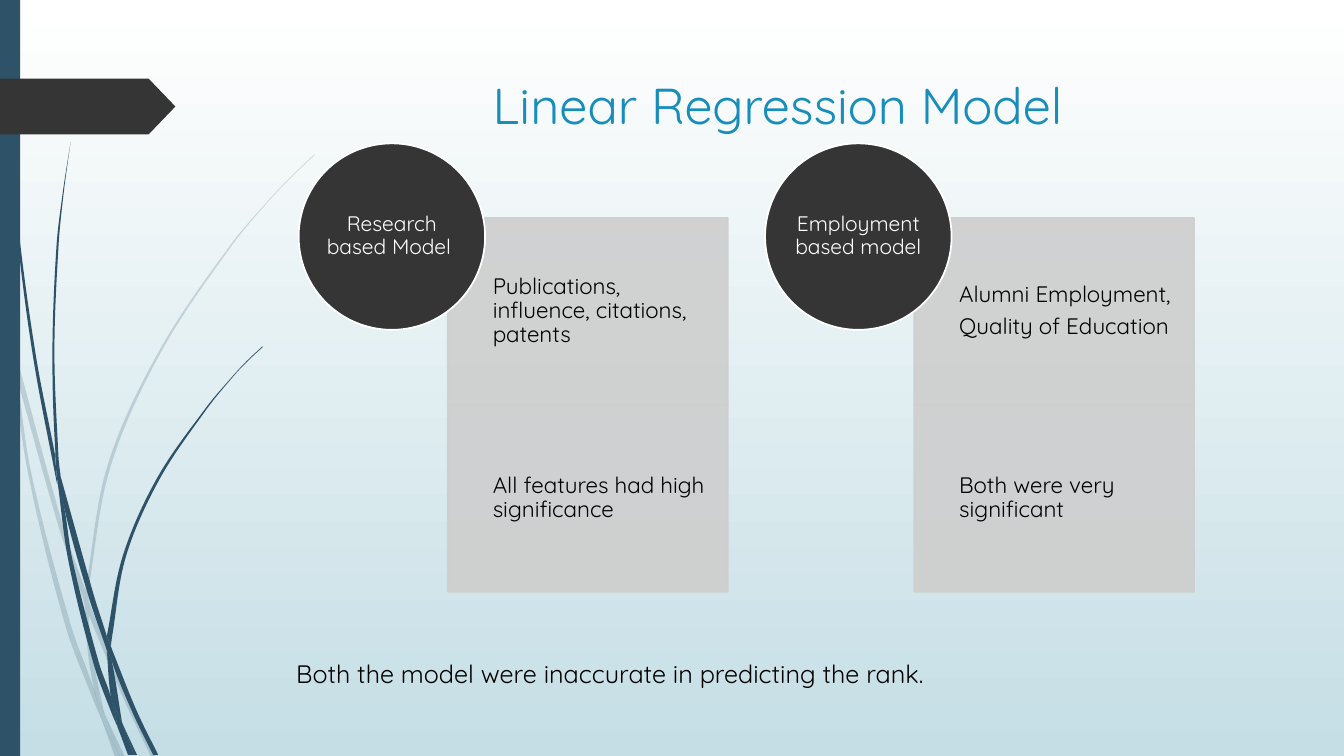
from math import hypot

from lxml.etree import SubElement
from pptx import Presentation
from pptx.dml.color import RGBColor
from pptx.enum.shapes import MSO_SHAPE
from pptx.enum.text import MSO_ANCHOR, MSO_AUTO_SIZE, PP_ALIGN
from pptx.oxml.ns import qn
from pptx.util import Pt

FONT = "Quicksand"
NAVY, CHARCOAL, GREY = "2E5369", "353535", "CECECE"
GRID = Pt(0.06)
DIVISIONS = 12
PALE_BLADES = [
    ([(11, 350), (9, 322), (0, 282)], [(0, 299), (10, 344), (11, 350)]),
    ([(17, 376), (58, 522), (84, 599)], [(85, 586), (62, 520), (14, 345)]),
    ([(88, 610), (123, 694), (150, 751)], [(155, 751), (127, 692), (92, 607), (88, 596)]),
    ([(119, 751)], [(124, 751), (105, 711)]),
    ([(11, 350), (28, 470), (65, 621), (92, 693), (101, 714)],
     [(99, 707), (93, 683), (70, 619), (31, 469), (17, 376), (11, 350)]),
    ([(84, 599), (87, 646), (93, 683), (96, 692), (105, 711)],
     [(103, 706), (91, 646), (88, 610), (88, 608), (84, 599)]),
    ([(312, 153), (289, 175), (268, 197), (228, 244), (158, 348), (107, 461), (85, 584), (85, 586)],
     [(88, 596), (88, 584), (110, 462), (160, 349), (229, 245), (268, 198), (290, 175), (312, 154)]),
    ([(101, 714), (114, 751)], [(119, 751), (101, 714)]),
    ([(84, 599), (88, 608), (88, 610)], [(88, 596), (85, 586)]),
    ([(93, 683), (99, 707), (101, 714), (119, 751)],
     [(119, 751), (105, 711), (96, 692), (93, 683)]),
]
DARK_BLADES = [
    ([(3, 0), (4, 48), (7, 110), (17, 233), (33, 355), (56, 477), (57, 481)],
     [(55, 457), (55, 453), (36, 355), (19, 232), (8, 109), (5, 48), (4, 0)]),
    ([(60, 472), (64, 505), (88, 592), (106, 645)], [(106, 633), (106, 631), (93, 590), (60, 472)]),
    ([(110, 641), (111, 656), (132, 708), (152, 749)],
     [(157, 749), (136, 706), (113, 649), (110, 641)]),
    ([(57, 477), (68, 557), (93, 659), (111, 708), (117, 722)],
     [(116, 717), (110, 691), (98, 657), (72, 556), (64, 505), (57, 477)]),
    ([(70, 141), (62, 193), (56, 245), (52, 349), (55, 449), (60, 472)],
     [(60, 472), (58, 453), (54, 349), (58, 245), (63, 193), (70, 141)]),
    ([(122, 719), (133, 749)], [(136, 749), (122, 719)]),
    ([(55, 449), (55, 453), (57, 477), (64, 505)], [(64, 505), (60, 472), (55, 449)]),
    ([(260, 344), (245, 358), (231, 373), (204, 405), (156, 474), (122, 551), (106, 631)],
     [(110, 641), (111, 633), (125, 552), (158, 476), (205, 406), (231, 374), (245, 359), (261, 344)]),
    ([(117, 722), (127, 749)], [(131, 749), (117, 722)]),
    ([(106, 645), (110, 691), (116, 706), (122, 719)], [(121, 716), (111, 656), (106, 645)]),
    ([(106, 645), (109, 651), (111, 656)], [(110, 641), (106, 631)]),
    ([(110, 691), (116, 717), (117, 722), (130, 749)],
     [(133, 749), (122, 719), (116, 706), (110, 691)]),
]
MODELS = [
    ("Research based Model ", [["Publications, influence, citations, patents "],
                               ["All features had high significance"]]),
    ("Employment based model", [["Alumni Employment,", "Quality of Education"],
                                ["Both were very significant"]]),
]


def color(value):
    return RGBColor.from_string(value)


def paint(fill, value, opacity=100):
    fill.solid()
    fill.fore_color.rgb = color(value)
    if opacity < 100:
        for rgb in fill._xPr.iter(qn("a:srgbClr")):
            SubElement(rgb, qn("a:alpha"), val=str(opacity * 1000))


def style(shape, fill, outline=None, opacity=100):
    shape.shadow.inherit = False
    paint(shape.fill, fill, opacity)
    if outline:
        shape.line.width = Pt(1.25)
        paint(shape.line.fill, outline, opacity)
    else:
        shape.line.fill.background()


def add_block(slide, kind, left, top, width, height, fill, outline=None, opacity=100):
    shape = slide.shapes.add_shape(kind, Pt(left), Pt(top), Pt(width), Pt(height))
    style(shape, fill, outline, opacity)
    return shape


def write(shape, lines, size, value, align=PP_ALIGN.LEFT, spacing=None, after=0):
    frame = shape.text_frame
    frame.word_wrap = True
    for index, line in enumerate(lines):
        paragraph = frame.add_paragraph() if index else frame.paragraphs[0]
        paragraph.alignment = align
        paragraph.line_spacing = spacing
        paragraph.space_after = Pt(after)
        run = paragraph.add_run()
        run.text = line
        run.font.name = FONT
        run.font.size = Pt(size)
        run.font.color.rgb = color(value)
    return frame


def set_margins(frame, left, other):
    frame.margin_left = Pt(left)
    frame.margin_top = frame.margin_right = frame.margin_bottom = Pt(other)
    frame.vertical_anchor = MSO_ANCHOR.MIDDLE


def handle(knot, before, after, reach):
    run, rise = after[0] - before[0], after[1] - before[1]
    ratio = reach / hypot(run, rise)
    return knot[0] + run * ratio, knot[1] + rise * ratio


def bend(edge):
    padded = [edge[0], *edge, edge[-1]]
    handles = []
    for a, b, c, d in zip(padded, padded[1:], padded[2:], padded[3:]):
        reach = hypot(c[0] - b[0], c[1] - b[1]) / 3
        handles.append((handle(b, a, c, reach), handle(c, b, d, -reach)))
    return handles


def add_blade(slide, edges, opacity=100):
    first, second = ([(x * DIVISIONS, y * DIVISIONS) for x, y in edge] for edge in edges)
    knots = first + second
    left, top = min(x for x, y in knots), min(y for x, y in knots)
    builder = slide.shapes.build_freeform(*knots[0], scale=GRID)
    builder.add_line_segments(knots[1:], close=True)
    shape = builder.convert_to_shape()
    segments = list(shape._element.iter(qn("a:lnTo")))
    for segment, handles in zip(segments, bend(first) + [()] + bend(second)):
        if handles:
            segment.tag = qn("a:cubicBezTo")
            for x, y in handles:
                SubElement(segment, qn("a:pt"), x=str(round(x - left)), y=str(round(y - top)))
            segment.append(segment[0])
    style(shape, NAVY, opacity=opacity)


def add_model(slide, left, name, panels):
    for row, lines in enumerate(panels):
        panel = add_block(slide, MSO_SHAPE.RECTANGLE, left + 106.5, 155.75 + row * 133.5,
                          200, 133.5, GREY, GREY, 90)
        set_margins(write(panel, lines, 16, "000000", spacing=0.9, after=5.6), 32.2, 8.6)
    circle = add_block(slide, MSO_SHAPE.OVAL, left, 102.4, 133.2, 133.2, CHARCOAL, "FFFFFF")
    set_margins(write(circle, [name], 15, "FFFFFF", PP_ALIGN.CENTER, 0.9), 0, 0)


def set_background(slide):
    fill = slide.background.fill
    fill.gradient()
    fill.gradient_angle = 270
    for stop, position, value in zip(fill.gradient_stops, (0, 1), ("FFFFFF", "C5DEE5")):
        stop.position = position
        stop.color.rgb = color(value)


def set_title(slide, text):
    title = slide.shapes.title
    title.left, title.top, title.width, title.height = Pt(204.5), Pt(49), Pt(702), Pt(100.8)
    frame = write(title, [text], 36, "178DBB", PP_ALIGN.CENTER)
    frame.vertical_anchor = MSO_ANCHOR.TOP
    frame.auto_size = MSO_AUTO_SIZE.NONE


def main():
    presentation = Presentation()
    presentation.slide_width, presentation.slide_height = Pt(960), Pt(540)
    slide = presentation.slides.add_slide(presentation.slide_layouts[5])
    set_background(slide)
    for blades, opacity in ((PALE_BLADES, 20), (DARK_BLADES, 100)):
        for edges in blades:
            add_blade(slide, edges, opacity)
    add_block(slide, MSO_SHAPE.RECTANGLE, 0, 0, 14.4, 540, NAVY)
    arrow = add_block(slide, MSO_SHAPE.PENTAGON, 0, 56.2, 125.3, 39.8, CHARCOAL)
    arrow.adjustments[0] = 0.48
    set_title(slide, "Linear Regression Model")
    for index, (name, panels) in enumerate(MODELS):
        add_model(slide, 213.3 + index * 333.2, name, panels)
    conclusion = slide.shapes.add_textbox(Pt(204.5), Pt(466.5), Pt(665.3), Pt(29))
    write(conclusion, ["Both the model were inaccurate in predicting the rank."], 18, "000000")
    presentation.save("out.pptx")


main()
